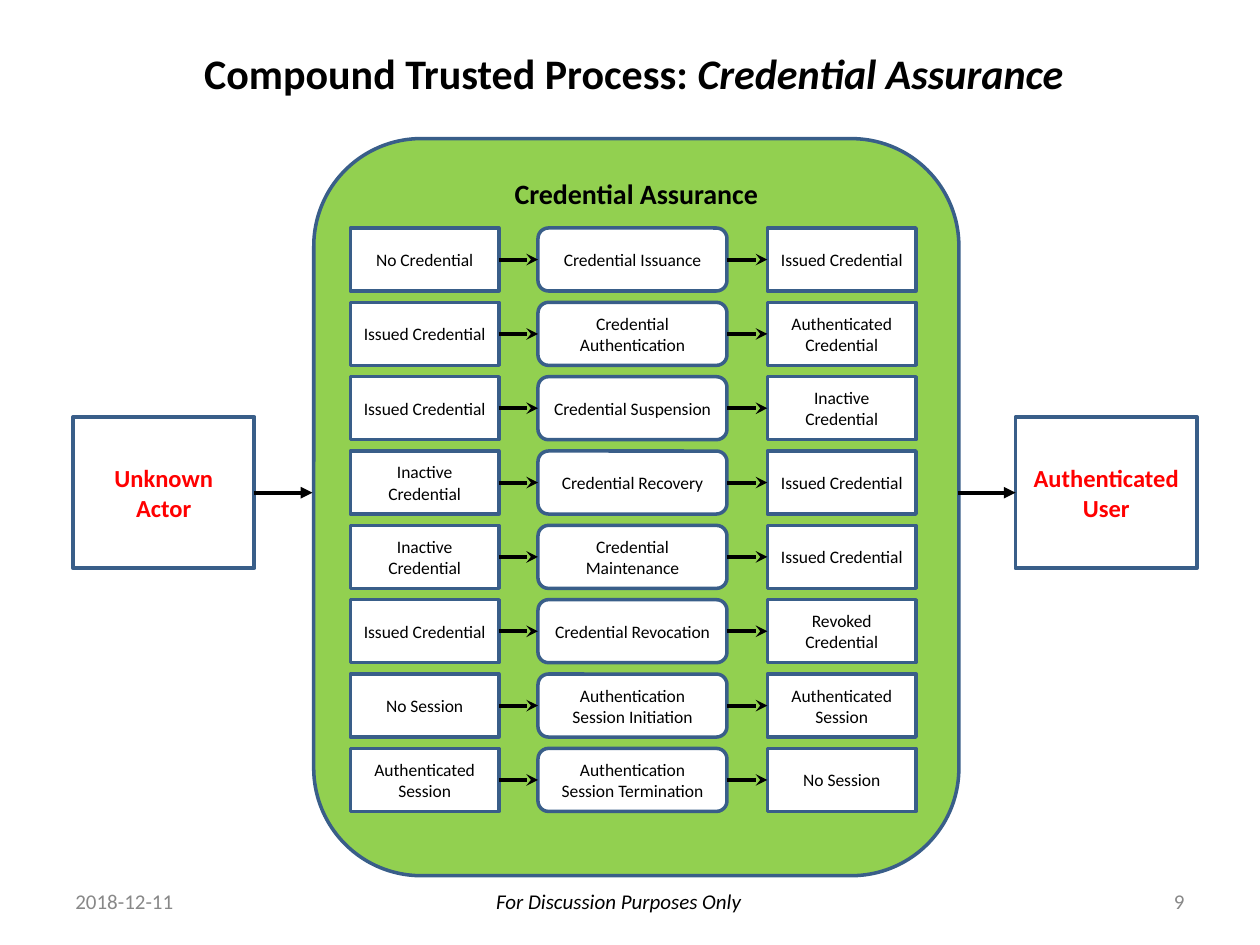
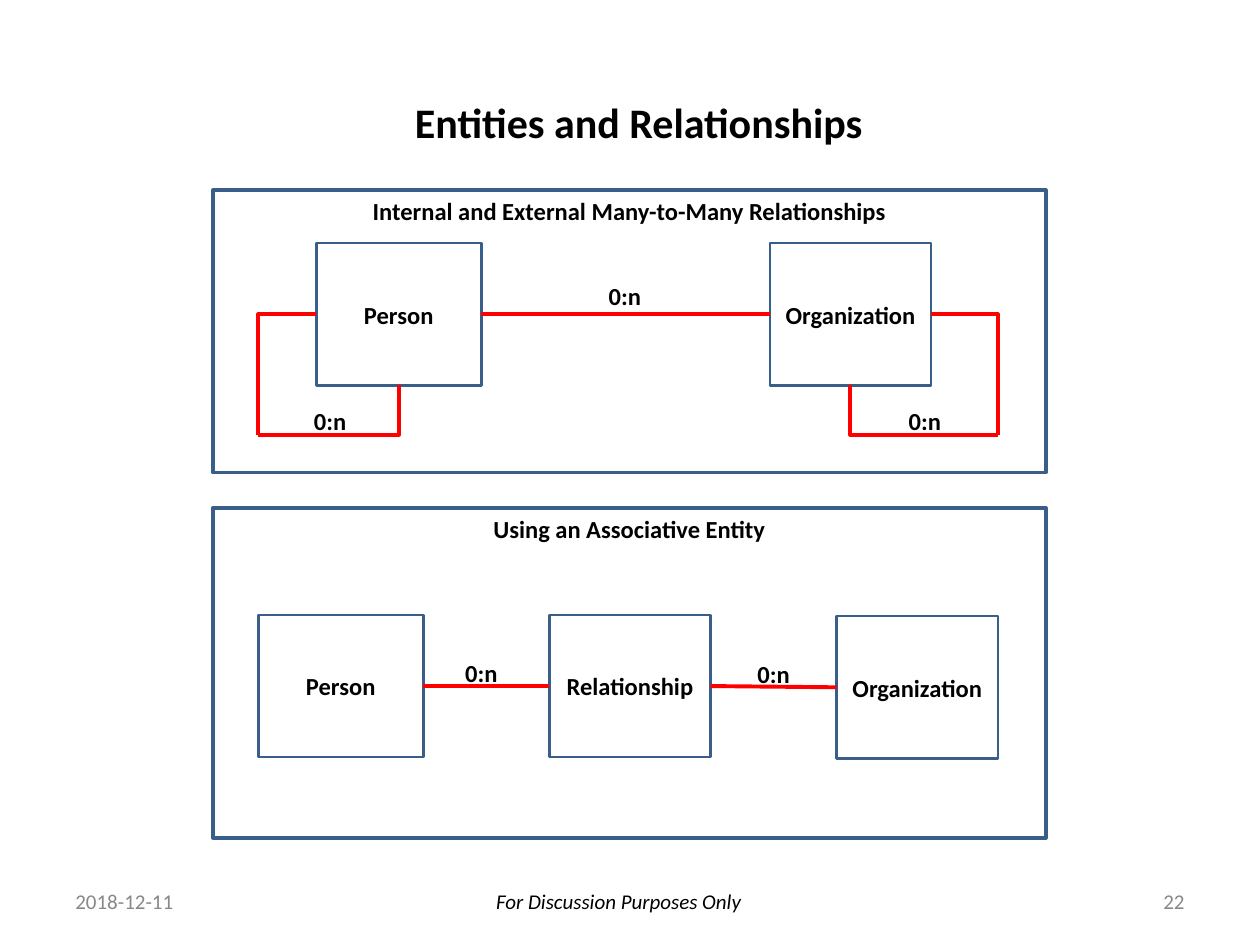
from collections import namedtuple
from dataclasses import dataclass

from pptx import Presentation
from pptx.dml.color import RGBColor
from pptx.enum.shapes import MSO_CONNECTOR, MSO_SHAPE
from pptx.enum.text import MSO_ANCHOR, PP_ALIGN
from pptx.oxml.ns import qn
from pptx.util import Pt
from lxml import etree

EMU_PER_PX = 9144
BLANK_LAYOUT = 6
TOP, LEFT, BOTTOM, RIGHT = range(4)
RECT = MSO_SHAPE.RECTANGLE
ROUND = MSO_SHAPE.ROUNDED_RECTANGLE
STRAIGHT = MSO_CONNECTOR.STRAIGHT
ELBOW = MSO_CONNECTOR.ELBOW
AT_TOP = MSO_ANCHOR.TOP
AT_MIDDLE = MSO_ANCHOR.MIDDLE
TO_LEFT = PP_ALIGN.LEFT
CENTRED = PP_ALIGN.CENTER
TO_RIGHT = PP_ALIGN.RIGHT

Point = namedtuple("Point", "x y")
Joint = namedtuple("Joint", "box site")


@dataclass(frozen=True)
class Theme:
    font: str = "Calibri"
    ink: str = "000000"
    outline: str = "395E89"
    panel: str = "92D050"
    paper: str = "FFFFFF"
    accent: str = "FF0000"
    muted: str = "888888"
    title_size: int = 24
    panel_size: int = 16
    body_size: int = 14
    footer_size: int = 12
    step_size: int = 10
    link_width: float = 2.25
    frame_width: float = 2
    entity_width: float = 1.5


THEME = Theme()

STEPS = [
    ("No Credential", "Credential Issuance", "Issued Credential"),
    ("Issued Credential", "Credential Authentication", "Authenticated Credential"),
    ("Issued Credential", "Credential Suspension", "Inactive Credential"),
    ("Inactive Credential", "Credential Recovery", "Issued Credential"),
    ("Inactive Credential", "Credential Maintenance", "Issued Credential"),
    ("Issued Credential", "Credential Revocation", "Revoked Credential"),
    ("No Session", "Authentication Session Initiation", "Authenticated Session"),
    ("Authenticated Session", "Authentication Session Termination", "No Session"),
]
STEP_COLUMNS = [(RECT, 278, 118), (ROUND, 427, 150), (RECT, 609, 118)]
STEP_TOP, STEP_PITCH, STEP_HEIGHT = 181, 59, 50


def px(*lengths):
    return [length * EMU_PER_PX for length in lengths]


def set_attributes(target, values):
    for name, value in values.items():
        setattr(target, name, value)


def write_text(box, spans, size, color=THEME.ink, align=CENTRED, anchor=AT_MIDDLE,
               wrap=True, **style):
    frame = box.text_frame
    margin_x, margin_y = px(10, 5)
    set_attributes(frame, {
        "word_wrap": wrap, "vertical_anchor": anchor,
        "margin_left": margin_x, "margin_right": margin_x,
        "margin_top": margin_y, "margin_bottom": margin_y,
    })
    para = frame.paragraphs[0]
    para.alignment = align
    for text, extra in spans:
        span = para.add_run()
        span.text = text
        set_attributes(span.font, {"name": THEME.font, "size": Pt(size), **style, **extra})
        span.font.color.rgb = RGBColor.from_string(color)


def add_label(page, area, text, size, **style):
    box = page.shapes.add_textbox(*px(*area))
    spans = [(text, {})] if isinstance(text, str) else text
    write_text(box, spans, size, **style)


def add_box(page, area, text, size, kind=RECT, fill=None, width=THEME.frame_width, **style):
    box = page.shapes.add_shape(kind, *px(*area))
    box.shadow.inherit = False
    if fill:
        box.fill.solid()
        box.fill.fore_color.rgb = RGBColor.from_string(fill)
    else:
        box.fill.background()
    box.line.color.rgb = RGBColor.from_string(THEME.outline)
    box.line.width = Pt(width)
    write_text(box, [(text, {})], size, **style)
    return box


def add_link(page, start, end, color=THEME.ink, head=None, kind=STRAIGHT):
    corners = [px(*stop) if isinstance(stop, Point) else (0, 0) for stop in (start, end)]
    link = page.shapes.add_connector(kind, *corners[0], *corners[1])
    for stop, join in ((start, link.begin_connect), (end, link.end_connect)):
        if isinstance(stop, Joint):
            join(stop.box, stop.site)
    link.line.color.rgb = RGBColor.from_string(color)
    link.line.width = Pt(THEME.link_width)
    properties = link.element.spPr
    if kind == ELBOW:
        properties.find(qn("a:prstGeom")).set("prst", "bentConnector2")
    if head:
        etree.SubElement(properties.find(qn("a:ln")), qn("a:tailEnd"), type=head)
    etree.SubElement(properties, qn("a:effectLst"))


def add_entity(page, left, top, width, name):
    return add_box(page, (left, top, width, 113), name, THEME.body_size,
                   width=THEME.entity_width, bold=True)


def add_relation(page, start, end, label_left, label_top):
    add_link(page, start, end, THEME.accent)
    add_cardinality(page, label_left, label_top)


def add_cardinality(page, left, top):
    add_label(page, (left, top, 46, 34), "0:n", THEME.body_size, wrap=False, bold=True)


def add_self_relation(page, entity, side, corner, label_left):
    add_link(page, Joint(entity, side), corner, THEME.accent, kind=ELBOW)
    add_link(page, corner, Joint(entity, BOTTOM), THEME.accent, kind=ELBOW)
    add_cardinality(page, label_left, 317)


def add_page(deck, title, title_left, title_top, number):
    page = deck.slides.add_slide(deck.slide_layouts[BLANK_LAYOUT])
    add_label(page, (title_left, title_top, 818, 50), title, THEME.title_size, bold=True)
    add_label(page, (315, 695, 352, 40), "For Discussion Purposes Only",
              THEME.footer_size, italic=True)
    for left, text, align in ((50, "2018-12-11", TO_LEFT), (717, number, TO_RIGHT)):
        add_label(page, (left, 695, 233, 40), text, THEME.footer_size,
                  color=THEME.muted, align=align)
    return page


def add_step(page, top, names):
    boxes = [
        add_box(page, (left, top, width, STEP_HEIGHT), name, THEME.step_size,
                kind=kind, fill=THEME.paper)
        for name, (kind, left, width) in zip(names, STEP_COLUMNS)
    ]
    for before, after in zip(boxes, boxes[1:]):
        add_link(page, Joint(before, RIGHT), Joint(after, LEFT), head="stealth")


def build_process_page(deck):
    title = [("Compound Trusted Process: ", {}), ("Credential Assurance", {"italic": True})]
    page = add_page(deck, title, 94, 33, "9")
    add_box(page, (249, 110, 512, 585), "Credential Assurance", THEME.panel_size,
            kind=ROUND, fill=THEME.panel, anchor=AT_TOP, bold=True)
    for row, names in enumerate(STEPS):
        add_step(page, STEP_TOP + row * STEP_PITCH, names)
    actor, user = [
        add_box(page, (left, 331, 144, 120), name, THEME.body_size,
                width=THEME.link_width, color=THEME.accent, bold=True)
        for left, name in ((58, "Unknown Actor"), (806, "Authenticated User"))
    ]
    add_link(page, Joint(actor, RIGHT), Point(248, 391), head="triangle")
    add_link(page, Point(760, 391), Joint(user, LEFT), head="triangle")


def build_entities_page(deck):
    page = add_page(deck, "Entities and Relationships", 98, 72, "22")
    for top, height, heading in (
        (403, 262, "Using an Associative Entity"),
        (151, 224, "Internal and External Many-to-Many Relationships"),
    ):
        add_box(page, (169, top, 661, height), heading, THEME.body_size,
                anchor=AT_TOP, bold=True)

    person = add_entity(page, 251, 193, 131, "Person")
    organization = add_entity(page, 611, 193, 128, "Organization")
    add_relation(page, Joint(person, RIGHT), Joint(organization, LEFT), 473, 218)
    add_self_relation(page, person, LEFT, Point(205, 345), 239)
    add_self_relation(page, organization, RIGHT, Point(792, 345), 711)

    person = add_entity(page, 205, 488, 131, "Person")
    relationship = add_entity(page, 436, 488, 128, "Relationship")
    organization = add_entity(page, 664, 489, 128, "Organization")
    add_relation(page, Joint(person, RIGHT), Joint(relationship, LEFT), 359, 517)
    add_relation(page, Joint(relationship, RIGHT), Joint(organization, LEFT), 591, 518)


def main():
    deck = Presentation()
    deck.slide_width, deck.slide_height = px(1000, 750)
    build_process_page(deck)
    build_entities_page(deck)
    deck.save("out.pptx")


if __name__ == "__main__":
    main()
